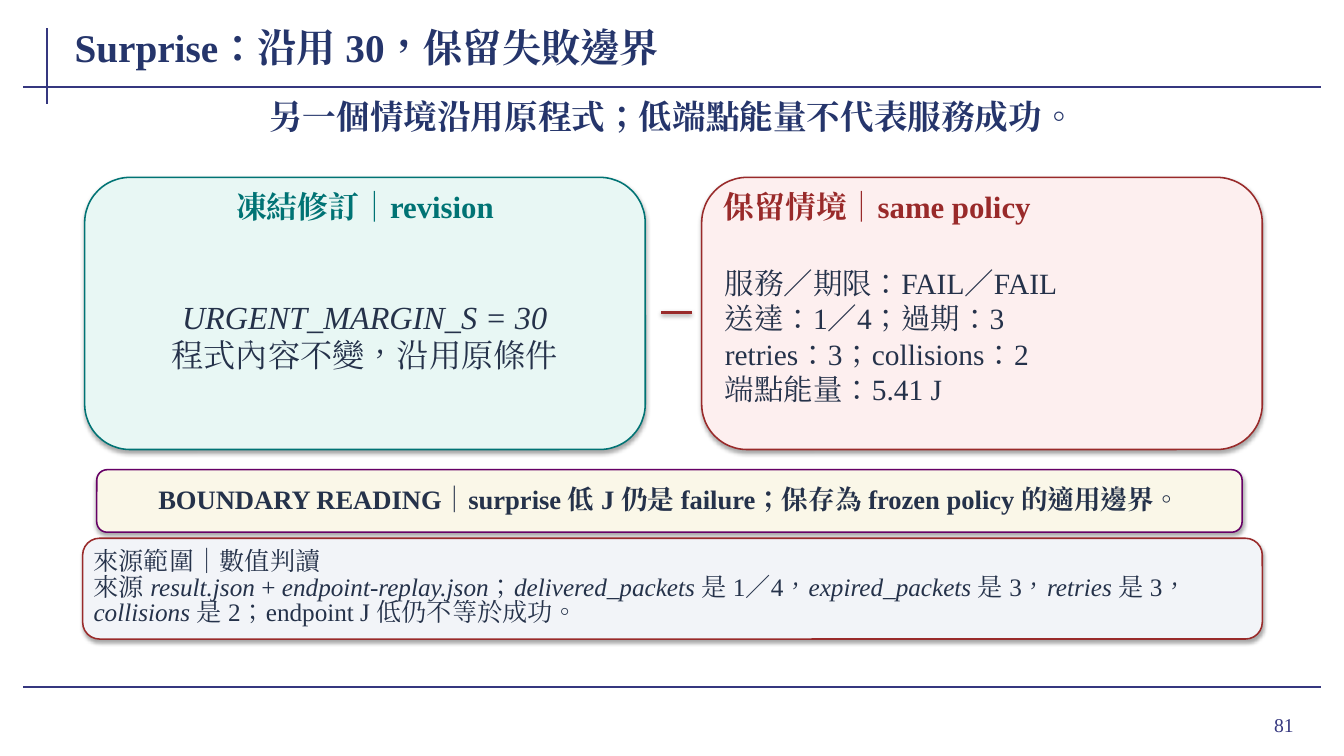
from lxml import etree
from pptx import Presentation
from pptx.dml.color import RGBColor
from pptx.enum.shapes import MSO_CONNECTOR as CONN, MSO_SHAPE as SHAPE
from pptx.enum.text import MSO_ANCHOR as ANCHOR, PP_ALIGN as ALIGN
from pptx.oxml.ns import qn
from pptx.util import Inches, Pt

FONT = "Times New Roman"
COLORS = {
    "rule": "35377F", "navy": "25356B", "ink": "25324A",
    "teal": "007374", "mint": "E8F7F4", "red": "992A2A", "rose": "FDEFEF",
    "purple": "660066", "cream": "FAF7E8", "mist": "F2F4F8", "shadow": "000000",
}
CARD_TOP, CARD_W, CARD_H = 1.76, 5.56, 2.7
CARD_INSETS = (0.08, 0.04)


def color(name):
    return RGBColor.from_string(COLORS[name])


def set_effects(s, alpha=None, dist=1.8):
    """Give the shape a soft downward shadow, or no effect without alpha."""
    effects = etree.SubElement(s._element.spPr, qn("a:effectLst"))
    if alpha:
        shadow = etree.SubElement(
            effects, qn("a:outerShdw"), blurRad=str(Pt(3.1)), dist=str(Pt(dist)),
            dir="5400000", algn="ctr", rotWithShape="0")
        clr = etree.SubElement(shadow, qn("a:srgbClr"), val=COLORS["shadow"])
        etree.SubElement(clr, qn("a:alpha"), val=str(alpha * 1000))


def add_line(slide, x1, y1, x2, y2, stroke="rule", width=1.5, alpha=None):
    s = slide.shapes.add_connector(
        CONN.STRAIGHT, Inches(x1), Inches(y1), Inches(x2), Inches(y2))
    s.line.color.rgb = color(stroke)
    s.line.width = Pt(width)
    set_effects(s, alpha, dist=1.6)


def write(s, paragraphs, size, ink, bold=False, align=ALIGN.LEFT,
          insets=(0.02, 0), spacing=None):
    """Each paragraph is a list of runs; a run wrapped in * is italic."""
    tf = s.text_frame
    tf.word_wrap = True
    tf.vertical_anchor = ANCHOR.MIDDLE
    tf.margin_left = tf.margin_right = Inches(insets[0])
    tf.margin_top = tf.margin_bottom = Inches(insets[1])
    for i, runs in enumerate(paragraphs):
        p = tf.add_paragraph() if i else tf.paragraphs[0]
        p.alignment = align
        if spacing:
            p.line_spacing = spacing
        for text in runs:
            r = p.add_run()
            r.text = text.strip("*")
            r.font.name = FONT
            r.font.size = Pt(size)
            r.font.bold = bold
            r.font.italic = text.startswith("*")
            r.font.color.rgb = color(ink)
            rPr = r._r.get_or_add_rPr()
            rPr.set("lang", "zh-TW")
            etree.SubElement(rPr, qn("a:ea"), typeface=FONT)


def add_text(slide, x, y, w, h, paragraphs, size, ink, **style):
    s = slide.shapes.add_textbox(Inches(x), Inches(y), Inches(w), Inches(h))
    write(s, paragraphs, size, ink, **style)


def add_panel(slide, x, y, w, h, fill, stroke):
    s = slide.shapes.add_shape(
        SHAPE.ROUNDED_RECTANGLE, Inches(x), Inches(y), Inches(w), Inches(h))
    s.fill.solid()
    s.fill.fore_color.rgb = color(fill)
    s.line.color.rgb = color(stroke)
    s.line.width = Pt(1.1)
    set_effects(s, alpha=35)
    return s


def add_card(slide, x, fill, accent, heading, body, size, align):
    add_panel(slide, x, CARD_TOP, CARD_W, CARD_H, fill, accent)
    add_text(slide, x + 0.14, CARD_TOP + 0.08, CARD_W - 0.28, 0.42, [[heading]],
             22, accent, bold=True, align=align, insets=CARD_INSETS)
    add_text(slide, x + 0.15, CARD_TOP + 0.54, CARD_W - 0.3, 2.06, body,
             size, "ink", align=align, insets=CARD_INSETS)


def main():
    prs = Presentation()
    prs.slide_width, prs.slide_height = Inches(13.33), Inches(7.5)
    slide = prs.slides.add_slide(prs.slide_layouts[6])

    # Frame rules and page number
    add_line(slide, 0.47, 0.28, 0.47, 1.03)
    for y in (0.86, 6.82):
        add_line(slide, 0.23, y, 13.1, y)
    add_text(slide, 11.96, 6.93, 0.97, 0.52, [["81"]], 14, "rule",
             align=ALIGN.RIGHT, insets=(0.1, 0.05))

    # Title and key message
    add_text(slide, 0.72, 0.2, 10.35, 0.53, [["Surprise：沿用 30，保留失敗邊界"]],
             28, "navy", bold=True)
    add_text(slide, 0.82, 0.93, 11.7, 0.45,
             [["另一個情境沿用原程式；低端點能量不代表服務成功。"]],
             24, "navy", bold=True, align=ALIGN.CENTER)

    # Two cards joined by a dash
    add_card(slide, 0.84, "mint", "teal", "凍結修訂｜revision",
             [["*URGENT_MARGIN_S = 30*"], ["程式內容不變，沿用原條件"]],
             23, ALIGN.CENTER)
    add_line(slide, 6.56, 3.1, 6.86, 3.1, "red", 2, alpha=38)
    add_card(slide, 6.96, "rose", "red", "保留情境｜same policy",
             [["服務／期限：FAIL／FAIL"], ["送達：1／4；過期：3"],
              ["retries：3；collisions：2"], ["端點能量：5.41 J"]],
             21, ALIGN.LEFT)

    # Boundary reading
    boundary = add_panel(slide, 0.96, 4.66, 11.36, 0.62, "cream", "purple")
    write(boundary,
          [["BOUNDARY READING｜surprise 低 J 仍是 failure；"
            "保存為 frozen policy 的適用邊界。"]],
          19, "ink", bold=True, align=ALIGN.CENTER, insets=(0.08, 0.02), spacing=0.84)

    # Source note
    source = add_panel(slide, 0.82, 5.34, 11.7, 1, "mist", "red")
    write(source,
          [["來源範圍｜數值判讀"],
           ["來源 ", "*result.json*", " + ", "*endpoint-replay.json*", "；",
            "*delivered_packets*", " 是 1／4，", "*expired_packets*", " 是 3，",
            "*retries*", " 是 3，", "*collisions*",
            " 是 2；endpoint J 低仍不等於成功。"]],
          18, "ink", insets=(0.06, 0.02), spacing=0.84)

    prs.save("out.pptx")


if __name__ == "__main__":
    main()
